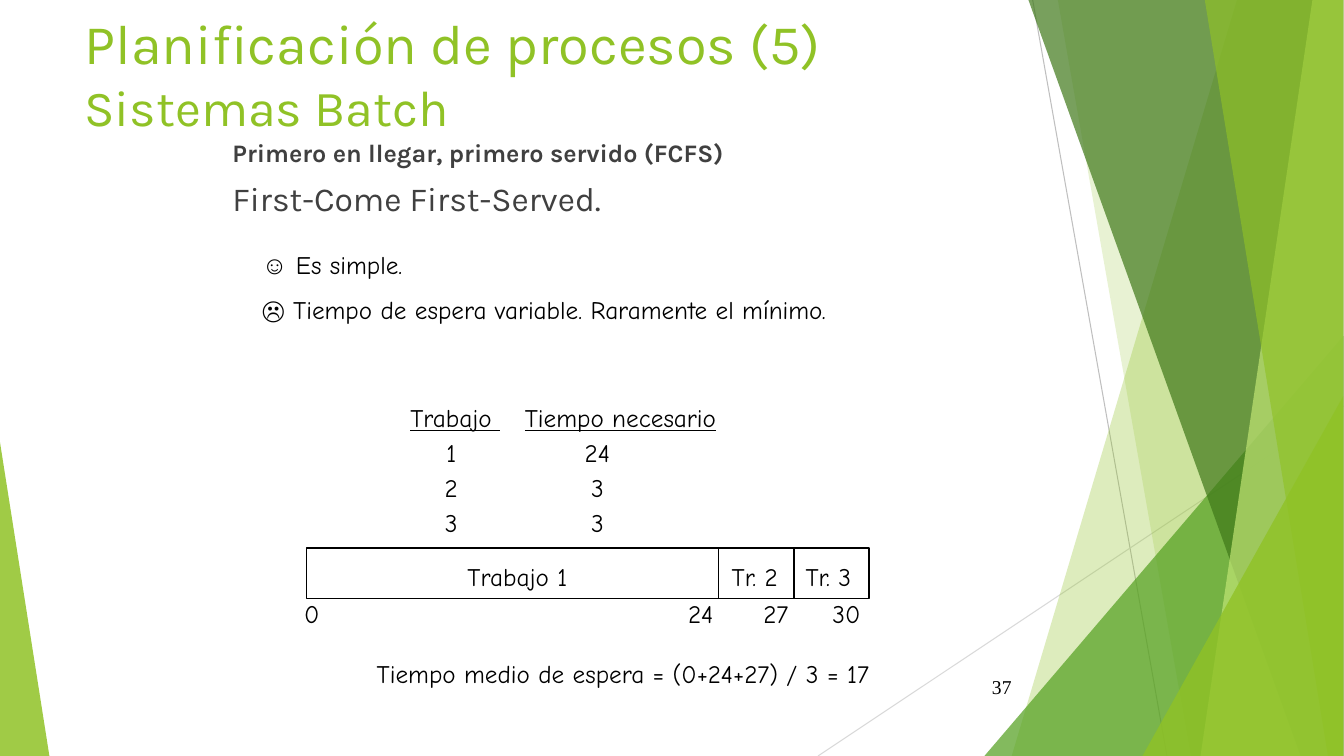
"""Build the slide on first-come first-served batch scheduling."""
from lxml.etree import SubElement
from pptx import Presentation
from pptx.dml.color import RGBColor
from pptx.enum.shapes import MSO_CONNECTOR, MSO_SHAPE
from pptx.enum.text import MSO_ANCHOR, PP_ALIGN
from pptx.oxml.ns import qn
from pptx.util import Pt

COLORS = {
    "lime": "90C226", "green": "54A021", "dark": "3F7819", "pale": "C0E474",
    "text": "404040", "black": "000000", "gray": "BFBFBF", "light": "D9D9D9",
}
RIGHT, BOTTOM = 960, 540
COMIC = {"name": "Comic Neue", "size": Pt(18)}
SYMBOL = {"name": "Arial", "size": Pt(18)}
UNDERLINED = {**COMIC, "underline": True}
KARLA = {"name": "Karla"}


def rgb(color):
    """Return the named colour."""
    return RGBColor.from_string(COLORS[color])


def paint(sp, color, opacity):
    """Give a shape a translucent fill and no outline."""
    sp.shadow.inherit = False
    sp.fill.solid()
    sp.fill.fore_color.rgb = rgb(color)
    clr = sp.fill._xPr.find(qn("a:solidFill"))[0]
    SubElement(clr, qn("a:alpha"), val=str(opacity * 1000))
    sp.line.fill.background()


def add_band(s, top_x, bottom_x, color, opacity):
    """Add a full-height band that reaches the right edge."""
    fb = s.shapes.build_freeform(Pt(top_x), 0)
    corners = [(RIGHT, 0), (RIGHT, BOTTOM), (bottom_x, BOTTOM)]
    fb.add_line_segments([(Pt(x), Pt(y)) for x, y in corners])
    paint(fb.convert_to_shape(), color, opacity)


def add_triangle(s, left, top, width, apex, color, opacity):
    """Add a triangle standing on the bottom edge."""
    sp = s.shapes.add_shape(MSO_SHAPE.ISOSCELES_TRIANGLE, Pt(left), Pt(top),
                            Pt(width), Pt(BOTTOM - top))
    sp.adjustments[0] = apex
    paint(sp, color, opacity)


def add_line(s, x1, y1, x2, y2, color, width):
    """Add a straight line without shadow."""
    cn = s.shapes.add_connector(MSO_CONNECTOR.STRAIGHT, Pt(x1), Pt(y1), Pt(x2), Pt(y2))
    cn.line.color.rgb = rgb(color)
    cn.line.width = Pt(width)
    SubElement(cn._element.spPr, qn("a:effectLst"))


def add_tabs(p, tabs):
    """Set the tab stops of a paragraph from (position, alignment) pairs."""
    lst = SubElement(p._p.get_or_add_pPr(), qn("a:tabLst"))
    for pos, algn in tabs:
        SubElement(lst, qn("a:tab"), pos=str(Pt(pos)), algn=algn)


def add_text(s, box, paragraphs, color="black", tabs=(), before=0,
             anchor=MSO_ANCHOR.TOP, **layout):
    """Add a text box of paragraphs made of (text, font values) runs."""
    tf = s.shapes.add_textbox(*map(Pt, box)).text_frame
    tf.word_wrap = True
    tf.vertical_anchor = anchor
    for i, runs in enumerate(paragraphs):
        p = tf.add_paragraph() if i else tf.paragraphs[0]
        if tabs:
            add_tabs(p, tabs[min(i, len(tabs) - 1)])
        p.space_before = Pt(before if i else 0)
        for key, value in layout.items():
            setattr(p, key, value)
        for text, fmt in runs:
            if text == "\n":
                p.add_line_break()
                continue
            r = p.add_run()
            r.text = text
            r.font.color.rgb = rgb(color)
            for key, value in fmt.items():
                setattr(r.font, key, value)


def add_backdrop(s):
    """Add the lines, bands and triangles of the green backdrop."""
    add_line(s, 738, 0, 834, BOTTOM, "gray", 0.75)
    add_line(s, RIGHT, 290, 584.6, BOTTOM, "light", 0.75)
    add_band(s, 884, 723, "lime", 30)
    add_band(s, 756, 851, "lime", 20)
    add_triangle(s, 703.5, 240, 256.5, 1, "green", 72)
    add_band(s, 735, 929.5, "dark", 70)
    add_band(s, 938, 858, "pale", 70)
    add_band(s, 861, 949, "lime", 65)
    add_triangle(s, 816.5, 283, 143.5, 1, "lime", 80)
    add_triangle(s, 0, 316, 35.3, 0, "lime", 85)


def add_headings(s):
    """Add the title, the policy name and the slide number."""
    add_text(s, (53.3, 0, 677, 103.7), [[
        ("Planificación de procesos (5)", {**KARLA, "size": Pt(40)}), ("\n", {}),
        ("Sistemas Batch", {**KARLA, "size": Pt(36)}),
    ]], "lime", anchor=MSO_ANCHOR.MIDDLE)
    add_text(s, (159, 97.2, 666, 401), [
        [("Primero en llegar, primero servido (FCFS)",
          {**KARLA, "size": Pt(18), "bold": True})],
        [("First-Come First-Served.", {**KARLA, "size": Pt(24)})],
    ], "text", before=10, line_spacing=0.9)
    add_text(s, (676, 476, 54, 28.8),
             [[("37", {"name": "Times New Roman", "size": Pt(14)})]],
             anchor=MSO_ANCHOR.MIDDLE, alignment=PP_ALIGN.RIGHT)


def add_jobs(s):
    """Add the remarks and the list of jobs with their times."""
    add_text(s, (180, 174.2, 563, 62), [
        [("☺", SYMBOL), (" Es simple.", COMIC)],
        [("☹", SYMBOL), (" Tiempo de espera variable. Raramente el mínimo.", COMIC)],
    ], before=11.2)
    header = [("\t", COMIC), ("Trabajo ", UNDERLINED), ("\t", COMIC),
              ("Tiempo necesario", UNDERLINED)]
    jobs = [(1, 24), (2, 3), (3, 3)]
    rows = [[(f"\t{job}\t{time}", COMIC)] for job, time in jobs]
    add_text(s, (270, 283.7, 312, 103.7), [header, *rows], before=3.4,
             tabs=[[(48.2, "ctr"), (98, "l")], [(45.4, "ctr"), (149.8, "ctr")]])


def add_timeline(s):
    """Add the bar of jobs, its time marks and the mean waiting time."""
    left, top, width, height = 219, 391.5, 402, 36
    sp = s.shapes.add_shape(MSO_SHAPE.RECTANGLE, Pt(left), Pt(top), Pt(width), Pt(height))
    sp.shadow.inherit = False
    sp.fill.background()
    sp.line.color.rgb = rgb("black")
    sp.line.width = Pt(1)
    for x in (513.4, 567.4):
        add_line(s, x, top, x, top + height, "black", 1)
    add_text(s, (327, 397.5, 300, 28.8), [[("Trabajo 1\t Tr. 2\t Tr. 3", COMIC)]],
             tabs=[[(202.3, "ctr"), (254.9, "ctr")]])
    add_text(s, (210.3, 424, 432, 28.8), [[("0\t24\t27\t30", COMIC)]],
             tabs=[[(292.5, "r"), (346, "r"), (397.5, "r")]])
    add_text(s, (234.7, 466.6, 421, 28.8),
             [[("Tiempo medio de espera = (0+24+27) / 3 = 17", COMIC)]],
             alignment=PP_ALIGN.CENTER)


def main():
    """Create and save the presentation."""
    prs = Presentation()
    prs.slide_width, prs.slide_height = Pt(960.5), Pt(BOTTOM)
    s = prs.slides.add_slide(prs.slide_layouts[6])
    add_backdrop(s)
    add_headings(s)
    add_jobs(s)
    add_timeline(s)
    prs.save("out.pptx")


if __name__ == "__main__":
    main()
